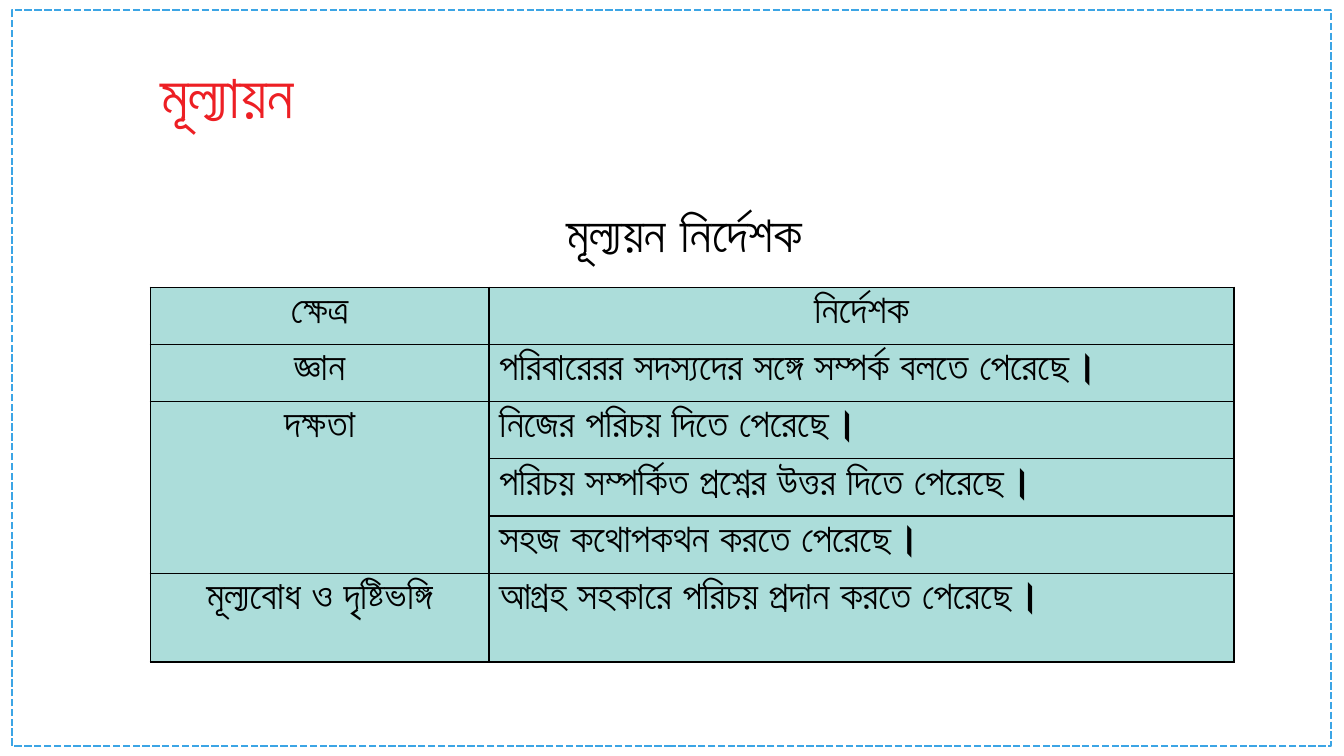
import pptx
import pptx.dml.color
import pptx.enum.dml
import pptx.enum.shapes
import pptx.enum.text
import pptx.oxml
import pptx.oxml.ns
import pptx.util

Inches = pptx.util.Inches
ALIGN = pptx.enum.text.PP_ALIGN
FONT = "Roboto"
BLACK, RED, BLUE, TEAL = "000000", "ED1F24", "3CA5E5", "ACDDDA"

COLUMN_WIDTHS = [3.36, 7.39]
ROW_HEIGHTS = [0.51] * 5 + [0.88]
INDICATORS = [
    ("ক্ষেত্র", "নির্দেশক"),
    ("জ্ঞান", "পরিবারেরর সদস্যদের সঙ্গে সম্পর্ক বলতে পেরেছে।"),
    ("দক্ষতা", "নিজের পরিচয় দিতে পেরেছে।"),
    ("", "পরিচয় সম্পর্কিত প্রশ্নের উত্তর দিতে পেরেছে।"),
    ("", "সহজ কথোপকথন করতে পেরেছে।"),
    ("মূল্যবোধ ও দৃষ্টিভঙ্গি", "আগ্রহ সহকারে পরিচয় প্রদান করতে পেরেছে।"),
]


def color(value):
    return pptx.dml.color.RGBColor.from_string(value)


def write(text_frame, text, size, font_color=BLACK, alignment=ALIGN.LEFT):
    paragraph = text_frame.paragraphs[0]
    paragraph.alignment = alignment
    run = paragraph.add_run()
    run.text = text
    run.font.name = FONT
    run.font.size = pptx.util.Pt(size)
    run.font.bold = True
    run.font.color.rgb = color(font_color)


def place(shape, left, top, width, height):
    shape.left, shape.top = Inches(left), Inches(top)
    shape.width, shape.height = Inches(width), Inches(height)


def add_border(slide, left, top, width, height):
    border = slide.shapes.add_shape(
        pptx.enum.shapes.MSO_SHAPE.RECTANGLE,
        Inches(left), Inches(top), Inches(width), Inches(height))
    border.shadow.inherit = False
    border.fill.background()
    border.line.color.rgb = color(BLUE)
    border.line.width = pptx.util.Pt(1.75)
    border.line.dash_style = pptx.enum.dml.MSO_LINE.SQUARE_DOT


def add_title(slide, left, top, width, height):
    title = slide.shapes.title
    place(title, left, top, width, height)
    text_frame = title.text_frame
    text_frame.word_wrap = True
    text_frame.auto_size = pptx.enum.text.MSO_AUTO_SIZE.SHAPE_TO_FIT_TEXT
    text_frame.vertical_anchor = pptx.enum.text.MSO_ANCHOR.TOP
    write(text_frame, "মূল্যায়ন", 44, RED)


def add_table_heading(slide, left, top, width, height):
    heading = slide.shapes.add_textbox(
        Inches(left), Inches(top), Inches(width), Inches(height))
    text_frame = heading.text_frame
    text_frame.word_wrap = False
    text_frame.auto_size = pptx.enum.text.MSO_AUTO_SIZE.SHAPE_TO_FIT_TEXT
    write(text_frame, "মূল্যয়ন নির্দেশক", 36)


def style_cell(cell):
    # Cell borders come before the fill in the cell properties
    properties = cell._tc.get_or_add_tcPr()
    for side in ("lnL", "lnR", "lnT", "lnB"):
        properties.append(pptx.oxml.parse_xml(
            f'<a:{side} {pptx.oxml.ns.nsdecls("a")} w="12700"><a:solidFill>'
            f'<a:srgbClr val="{BLACK}"/></a:solidFill></a:{side}>'))
    cell.fill.solid()
    cell.fill.fore_color.rgb = color(TEAL)


def add_indicator_table(slide, left, top):
    table = slide.shapes.add_table(
        len(ROW_HEIGHTS), len(COLUMN_WIDTHS), Inches(left), Inches(top),
        Inches(sum(COLUMN_WIDTHS)), Inches(sum(ROW_HEIGHTS))).table
    table.horz_banding = False
    for column, width in zip(table.columns, COLUMN_WIDTHS):
        column.width = Inches(width)
    for row, height in zip(table.rows, ROW_HEIGHTS):
        row.height = Inches(height)

    # The skill area spans three indicators
    table.cell(2, 0).merge(table.cell(4, 0))
    for row_index, texts in enumerate(INDICATORS):
        for column_index, text in enumerate(texts):
            cell = table.cell(row_index, column_index)
            style_cell(cell)
            centered = row_index == 0 or column_index == 0
            if text:
                write(cell.text_frame, text, 28,
                      alignment=ALIGN.CENTER if centered else ALIGN.LEFT)


def main():
    presentation = pptx.Presentation()
    presentation.slide_width = Inches(13.33)
    presentation.slide_height = Inches(7.5)
    slide = presentation.slides.add_slide(presentation.slide_layouts[5])
    add_border(slide, 0.12, 0.1, 13.08, 7.3)
    add_title(slide, 1.49, 0.51, 2.99, 0.84)
    add_table_heading(slide, 5.52, 1.96, 2.7, 0.71)
    add_indicator_table(slide, 1.49, 2.85)
    presentation.save("out.pptx")


if __name__ == "__main__":
    main()
